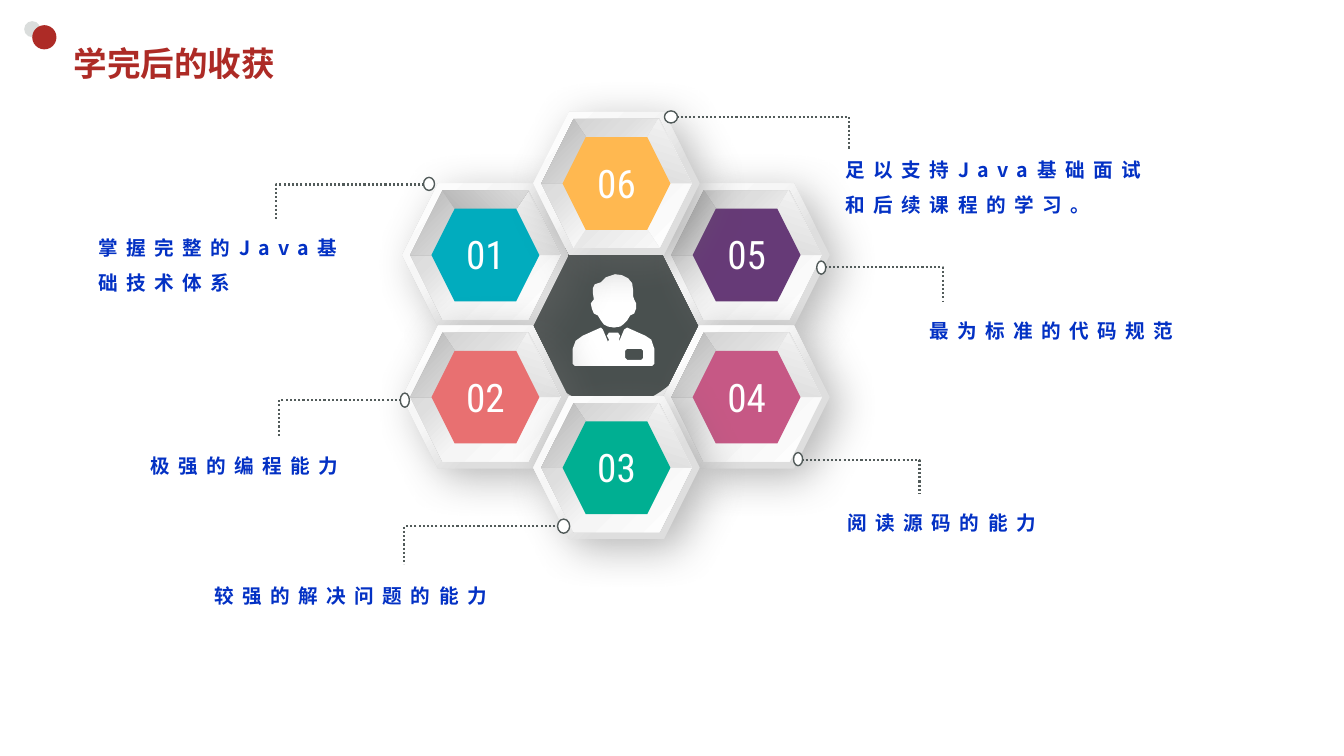
from dataclasses import dataclass

from lxml import etree
from pptx import Presentation
from pptx.dml.color import RGBColor
from pptx.enum.dml import MSO_LINE
from pptx.enum.shapes import MSO_SHAPE
from pptx.enum.text import MSO_ANCHOR, MSO_AUTO_SIZE, PP_ALIGN
from pptx.oxml.ns import qn
from pptx.util import Emu, Pt

PX = 9144
OVAL, HEXAGON, TRAPEZOID = MSO_SHAPE.OVAL, MSO_SHAPE.HEXAGON, MSO_SHAPE.TRAPEZOID
DOTTED = MSO_LINE.ROUND_DOT
MIDDLE, TOP = MSO_ANCHOR.MIDDLE, MSO_ANCHOR.TOP
LEFT, CENTER = PP_ALIGN.LEFT, PP_ALIGN.CENTER
FIT_SHAPE = MSO_AUTO_SIZE.SHAPE_TO_FIT_TEXT


@dataclass(frozen=True)
class Theme:
    """Colours, gradients, fonts and type sizes of the slide."""
    red: str = "AD2B26"
    grey: str = "DADDDC"
    dark: str = "49504F"
    white: str = "FFFFFF"
    blue: str = "0331C4"
    leader: str = "525B5A"
    shadow: str = "696969"
    frame: tuple = ((17, "DEDEDE"), (37, "E0E0E0"), (61, "F6F6F6"), (100, "FFFFFF"))
    ring: tuple = ((0, "CBCBCB"), (32, "DEDEDE"), (57, "F5F5F5"), (100, "FFFFFF"))
    shade: tuple = ((0, "B4B4B4"), (100, "DFDFDF"))
    gleam: tuple = ((0, "DEDEDE"), (100, "F4F4F4"))
    base: tuple = ((0, "E6E6E6"), (100, "F7F7F7"))
    cjk_font: str = "Noto Sans CJK JP"
    title_font: str = "Courier New"
    number_font: str = "Roboto Condensed"
    title_size: int = 24
    number_size: int = 28
    label_size: int = 14


THEME = Theme()

TILES = [
    ("01", 399, 182, "01ACBE", "top"),
    ("02", 399, 323, "E87071", ""),
    ("05", 658, 182, "663A77", ""),
    ("04", 658, 323, "C65885", ""),
    ("03", 529, 393, "00AF92", ""),
    ("06", 529, 111, "FFB850", "bottom"),
]

CALLOUTS = [
    ([(421, 183), (274, 183), (274, 218)], (420, 176, 11, 13),
     (88, 217, 280, 77), ["掌握完整的Java基础技术体系"]),
    ([(398, 397), (277, 397), (277, 433)], (397, 390, 9, 14),
     (139, 434, 224, 42), ["极强的编程能力"]),
    ([(555, 522), (401, 522), (401, 560)], (553, 515, 12, 14),
     (203, 563, 396, 42), ["较强的解决问题的能力"]),
    ([(795, 456), (912, 456), (912, 490)], (787, 449, 9, 13),
     (831, 490, 362, 42), ["阅读源码的能力"]),
    ([(818, 265), (935, 265), (935, 299)], (810, 259, 9, 13),
     (912, 300, 292, 42), ["最为标准的代码规范"]),
    ([(671, 116), (842, 116), (842, 148)], (659, 110, 13, 12),
     (829, 140, 379, 77), ["足以支持Java基础面试", "和后续课程的学习。"]),
]

HEAD = [(610, 272), (617, 273), (623, 276), (627, 281), (628, 288), (628, 294),
        (629, 297), (631, 301), (631, 306), (629, 311), (625, 313), (622, 318),
        (618, 322), (615, 324), (609, 325), (603, 324), (599, 322), (596, 318),
        (593, 313), (589, 311), (587, 306), (586, 301), (589, 297), (588, 290),
        (588, 286), (590, 282), (596, 280), (601, 275)]
TORSO = [(596, 325), (598, 327), (603, 339), (604, 337), (602, 333), (604, 330),
         (613, 330), (615, 333), (614, 337), (614, 339), (619, 327), (622, 325),
         (640, 333), (646, 337), (649, 346), (649, 361), (647, 363), (570, 363),
         (568, 361), (568, 346), (571, 338), (578, 333)]
BADGE = [(622, 346), (636, 346), (638, 348), (638, 355), (636, 357), (622, 357),
         (620, 355), (620, 348)]

RING_INNER = [(52, 25), (29, 71), (52, 117), (113, 117), (136, 71), (113, 25)]
RING_OUTER = [(40, 7), (125, 7), (157, 71), (125, 135), (40, 135), (8, 71)]
RIGHT_FACET = [(124, 7), (113, 25), (136, 71), (157, 71)]
LEFT_FACET = [(40, 7), (52, 25), (29, 71), (8, 71)]


def paint(shape, fill=None, angle=45, line=None, width=1):
    """Give a shape a solid, gradient or empty fill and an optional line."""
    shape.shadow.inherit = False
    if fill is None:
        shape.fill.background()
    elif isinstance(fill, str):
        shape.fill.solid()
        shape.fill.fore_color.rgb = RGBColor.from_string(fill)
    else:
        shape.fill.gradient()
        shape.fill.gradient_angle = 360 - angle
        stops = shape._element.spPr.find(qn("a:gradFill")).find(qn("a:gsLst"))
        for stop in list(stops):
            stops.remove(stop)
        for position, color in fill:
            stop = etree.SubElement(stops, qn("a:gs"), pos=str(position * 1000))
            etree.SubElement(stop, qn("a:srgbClr"), val=color)
    if line:
        shape.line.color.rgb = RGBColor.from_string(line)
        shape.line.width = Pt(width)
    else:
        shape.line.fill.background()
    return shape


def add_preset(slide, kind, box, **look):
    """Add a painted preset shape in a px box."""
    shape = slide.shapes.add_shape(kind, *(Emu(value * PX) for value in box))
    return paint(shape, **look)


def add_outline(slide, contours, origin=(0, 0), close=True, **look):
    """Add a painted freeform made of one or more px contours."""
    builder = None
    for contour in contours:
        points = [(x + origin[0], y + origin[1]) for x, y in contour]
        if builder is None:
            builder = slide.shapes.build_freeform(*points[0], scale=PX)
        else:
            builder.move_to(*points[0])
        builder.add_line_segments(points[1:], close=close)
    return paint(builder.convert_to_shape(), **look)


def add_text(slide, box, lines, font, color, align=LEFT, anchor=TOP,
             line_spacing=1.0, tracking=0):
    """Add a wrapping text box with one paragraph per line."""
    text_box = slide.shapes.add_textbox(*(Emu(value * PX) for value in box))
    frame = text_box.text_frame
    frame_format = {"word_wrap": True, "auto_size": FIT_SHAPE, "vertical_anchor": anchor}
    for name, value in frame_format.items():
        setattr(frame, name, value)
    for index, line in enumerate(lines):
        paragraph = frame.add_paragraph() if index else frame.paragraphs[0]
        paragraph.alignment = align
        paragraph.line_spacing = line_spacing
        run = paragraph.add_run()
        run.text = line
        for name, value in font.items():
            setattr(run.font, name, value)
        run.font.color.rgb = RGBColor.from_string(color)
        properties = run._r.get_or_add_rPr()
        if tracking:
            properties.set("spc", str(tracking * 100))
        etree.SubElement(properties, qn("a:ea"), typeface=THEME.cjk_font)


def add_soft_shadow(shape):
    """Cast a soft shadow to the lower right."""
    effects = shape._element.spPr.find(qn("a:effectLst"))
    shadow = etree.SubElement(effects, qn("a:outerShdw"), blurRad=str(Pt(30)),
                              dist=str(Pt(10)), dir=str(40 * 60000), algn="ctr",
                              rotWithShape="0")
    color = etree.SubElement(shadow, qn("a:srgbClr"), val=THEME.shadow)
    etree.SubElement(color, qn("a:alpha"), val="47000")


def add_tile(slide, number, left, top, color, edge):
    """Add a bevelled hexagon tile with its number."""
    origin = (left, top)
    add_soft_shadow(add_preset(slide, HEXAGON, (left, top, 165, 142),
                               fill=THEME.frame, angle=225))
    add_outline(slide, [RING_INNER, RING_OUTER], origin, fill=THEME.ring)
    add_outline(slide, [RIGHT_FACET], origin, fill=THEME.gleam, angle=288)
    add_outline(slide, [LEFT_FACET], origin, fill=THEME.shade)
    if edge:
        is_top = edge == "top"
        facet = add_preset(slide, TRAPEZOID, (left + 40, top + (7 if is_top else 117), 85, 18),
                           fill=THEME.shade if is_top else THEME.base)
        facet.adjustments[0] = 0.66
        if is_top:
            facet._element.spPr.find(qn("a:xfrm")).set("flipV", "1")
    add_preset(slide, HEXAGON, (left + 29, top + 25, 107, 92), fill=color)
    font = {"name": THEME.number_font, "size": Pt(THEME.number_size)}
    add_text(slide, (left + 27, top + 42, 111, 57), [number], font, THEME.white, align=CENTER)


def add_callout(slide, leader, dot, box, lines):
    """Add a dotted leader with its end dot and label."""
    outline = add_outline(slide, [leader], close=False, line=THEME.leader, width=1.5)
    outline.line.dash_style = DOTTED
    add_preset(slide, OVAL, dot, fill=THEME.white, line=THEME.leader)
    font = {"name": THEME.cjk_font, "size": Pt(THEME.label_size), "bold": True}
    add_text(slide, box, lines, font, THEME.blue, line_spacing=1.5, tracking=6)


def main():
    """Build the slide and save it."""
    presentation = Presentation()
    presentation.slide_width, presentation.slide_height = Emu(1333 * PX), Emu(750 * PX)
    slide = presentation.slides.add_slide(presentation.slide_layouts[6])
    add_preset(slide, OVAL, (24, 21, 16, 16), fill=THEME.grey)
    add_preset(slide, OVAL, (32, 25, 24, 24), fill=THEME.red)
    add_preset(slide, OVAL, (522, 232, 171, 171), fill=THEME.dark)
    add_outline(slide, [HEAD, TORSO, BADGE], fill=THEME.white)
    for tile in TILES:
        add_tile(slide, *tile)
    for callout in CALLOUTS:
        add_callout(slide, *callout)
    font = {"name": THEME.title_font, "size": Pt(THEME.title_size), "bold": True}
    add_text(slide, (63, 37, 1175, 52), ["学完后的收获"], font, THEME.red, anchor=MIDDLE)
    presentation.save("out.pptx")


if __name__ == "__main__":
    main()
